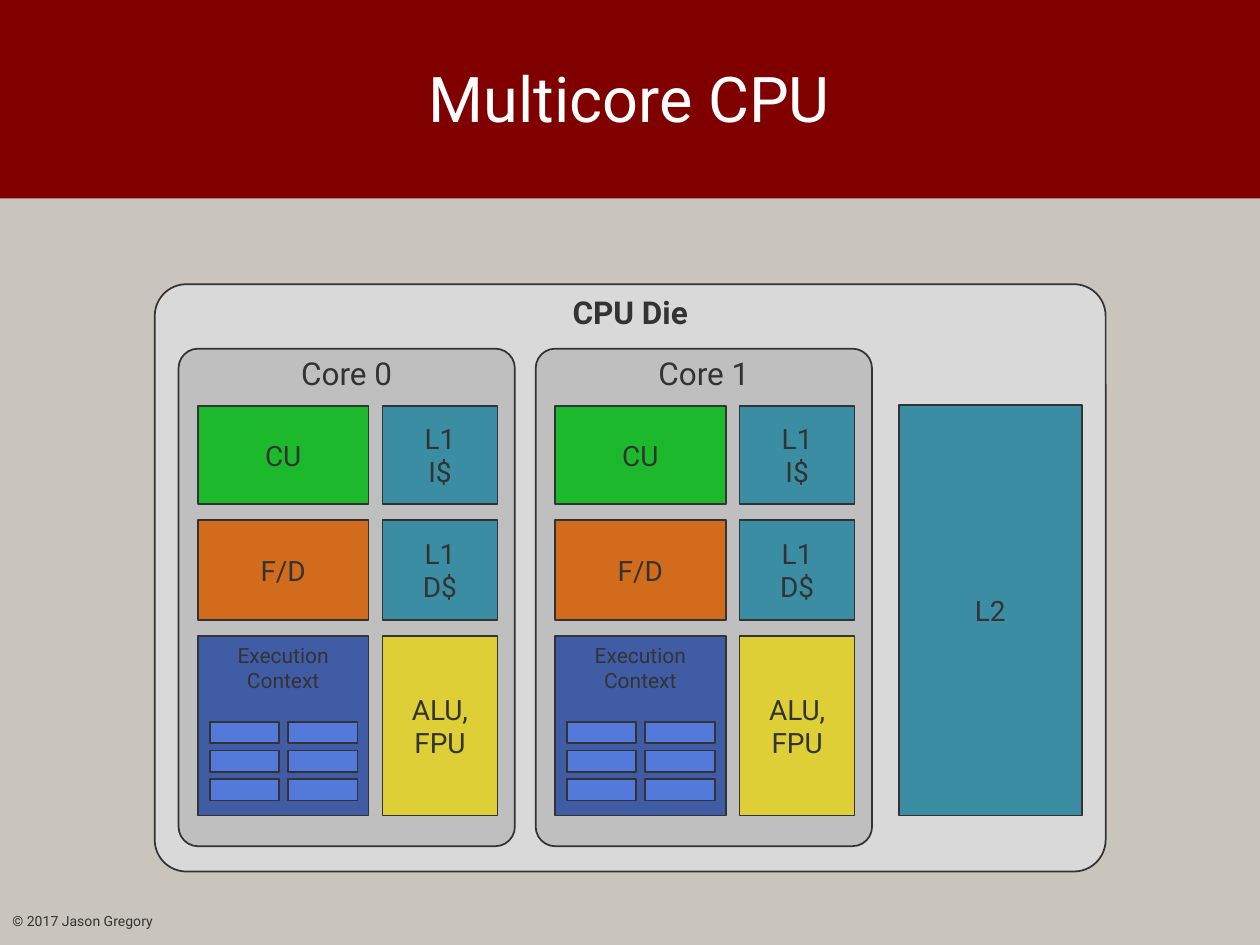
from pptx import Presentation
from pptx.dml.color import RGBColor
from pptx.enum import shapes, text
from pptx.util import Cm, Pt

THEME = {
    "font": "Roboto",
    "color": {
        "band": "800000", "page": "C9C5BC", "title": "FFFFFF", "ink": "333333",
        "die": "D9D9D9", "core": "BFBFBF", "cache": "3B8DA4", "control": "1DB92C",
        "fetch": "D26B1C", "context": "3F5CA4", "register": "5379DA", "alu": "DDCF35",
    },
    "size": {"title": 36, "heading": 18, "unit": 16, "context": 12, "footer": 8},
}
RECT = shapes.MSO_SHAPE.RECTANGLE
ROUND = shapes.MSO_SHAPE.ROUNDED_RECTANGLE
TOP, MIDDLE = text.MSO_ANCHOR.TOP, text.MSO_ANCHOR.MIDDLE
LEFT, CENTER = text.PP_ALIGN.LEFT, text.PP_ALIGN.CENTER


def color(name):
    return RGBColor.from_string(THEME["color"][name])


def write(sp, words, size="unit", ink="ink", bold=False, align=CENTER,
          anchor=MIDDLE, wrap=True, inset=None):
    tf = sp.text_frame
    tf.auto_size = text.MSO_AUTO_SIZE.NONE
    tf.word_wrap = wrap
    tf.vertical_anchor = anchor
    if inset is not None:
        tf.margin_left = tf.margin_right = tf.margin_top = tf.margin_bottom = inset
    p = tf.paragraphs[0]
    p.text = words
    p.alignment = align
    for r in p.runs:
        r.font.name = THEME["font"]
        r.font.size = Pt(THEME["size"][size])
        r.font.bold = bold
        r.font.color.rgb = color(ink)


def box(parent, x, y, w, h, fill, kind=RECT, corner=None, line=True):
    sp = parent.shapes.add_shape(kind, Cm(x), Cm(y), Cm(w), Cm(h))
    sp.shadow.inherit = False
    sp.fill.solid()
    sp.fill.fore_color.rgb = color(fill)
    if line:
        sp.line.color.rgb = color("ink")
        sp.line.width = Pt(1)
    else:
        sp.line.fill.background()
    if corner is not None:
        sp.adjustments[0] = corner
    return sp


prs = Presentation()
prs.slide_width, prs.slide_height = Cm(25.4), Cm(19.05)
s = prs.slides.add_slide(prs.slide_layouts[5])

# Background: the title band shows above the page area
s.background.fill.solid()
s.background.fill.fore_color.rgb = color("band")
box(s, 0, 4, 25.4, 15.05, "page", line=False)

# Title
title = s.shapes.title
title.left, title.top, title.width, title.height = Cm(2.16), Cm(0.18), Cm(21.06), Cm(3.56)
write(title, "Multicore CPU", size="title", ink="title")

# Die and shared cache
chip = s.shapes.add_group_shape()
die = box(chip, 3.12, 5.73, 19.17, 11.84, "die", ROUND, 0.054)
write(die, "CPU Die", size="heading", bold=True, anchor=TOP, wrap=False, inset=0)
write(box(chip, 18.12, 8.16, 3.69, 8.28, "cache"), "L2")

# Units of a core: column, row, fill, words, text format
columns = [(0.39, 3.44), (4.11, 2.32)]
rows = [(8.18, 1.98), (10.48, 2.02), (12.82, 3.62)]
units = [
    (0, 0, "control", "CU", {}),
    (1, 0, "cache", "L1\nI$", {}),
    (0, 1, "fetch", "F/D", {}),
    (1, 1, "cache", "L1\nD$", {}),
    (0, 2, "context", "Execution Context", {"size": "context", "anchor": TOP}),
    (1, 2, "alu", "ALU, FPU", {}),
]

# Cores
for number in range(2):
    x = 3.6 + 7.2 * number
    core = box(chip, x, 7.03, 6.78, 10.03, "core", ROUND, 0.058)
    write(core, f"Core {number}", size="heading", anchor=TOP, wrap=False, inset=0)
    for column, row, fill, words, style in units:
        dx, w = columns[column]
        y, h = rows[row]
        write(box(chip, x + dx, y, w, h, fill), words, **style)

    # Registers of the execution context
    for column in range(2):
        for row in range(3):
            box(chip, x + 0.63 + 1.58 * column, 14.55 + 0.58 * row, 1.4, 0.43, "register")

# Copyright line
footer = s.shapes.add_textbox(Cm(0), Cm(18.06), Cm(8.05), Cm(1.02))
write(footer, "© 2017 Jason Gregory", size="footer", align=LEFT)

prs.save("out.pptx")
